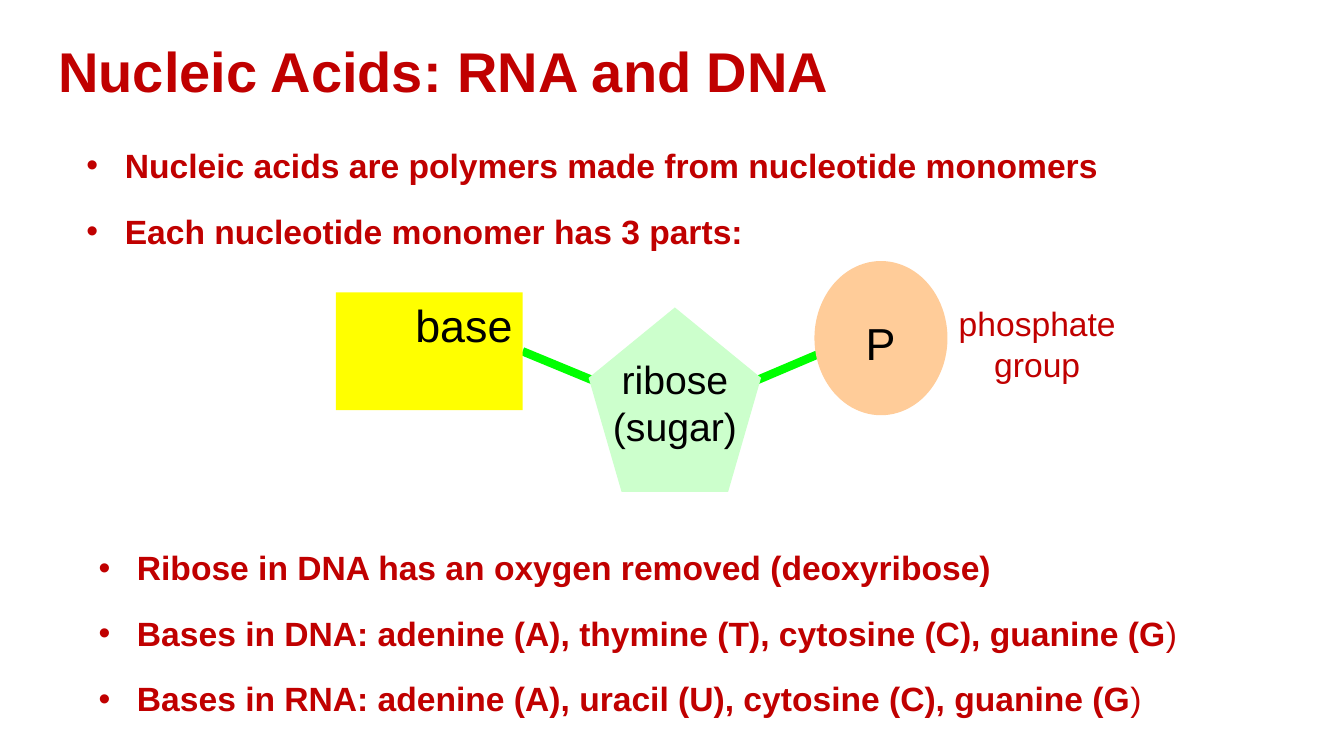
from lxml import etree
from pptx import Presentation
from pptx import util as u
from pptx.dml.color import RGBColor
from pptx.enum import shapes, text
from pptx.oxml import ns

RED = RGBColor(0xC0, 0x00, 0x00)
BLACK = RGBColor(0x00, 0x00, 0x00)
YELLOW = RGBColor(0xFF, 0xFF, 0x00)
MINT = RGBColor(0xCC, 0xFF, 0xCC)
PEACH = RGBColor(0xFF, 0xCC, 0x99)
GREEN = RGBColor(0x00, 0xFF, 0x00)

RIGHT, CENTER, LEFT = text.PP_ALIGN.RIGHT, text.PP_ALIGN.CENTER, text.PP_ALIGN.LEFT


class Slide:
    """Places elements by percent of the slide's width and height."""
    font = "Arial"
    body_size = 24

    def __init__(self, deck):
        self.width, self.height = deck.slide_width, deck.slide_height
        self.page = deck.slides.add_slide(deck.slide_layouts[6])

    def place(self, *shares):
        sides = (self.width, self.height) * 2
        return [round(side * share / 100) for side, share in zip(sides, shares)]

    def style(self, span, size, color, bold=False):
        span.font.name = self.font
        span.font.size = u.Pt(size)
        span.font.color.rgb = color
        span.font.bold = bold

    def fill_text(self, box, words, size, color, align=LEFT, bold=False):
        frame = box.text_frame
        frame.word_wrap = True
        frame.vertical_anchor = text.MSO_ANCHOR.TOP
        frame.text = words
        for para in frame.paragraphs:
            para.alignment = align
            for span in para.runs:
                self.style(span, size, color, bold)

    def label(self, area, words, size, color, align=CENTER, bold=False):
        box = self.page.shapes.add_textbox(*self.place(*area))
        self.fill_text(box, words, size, color, align, bold)

    def bullets(self, area, lines, indent):
        """Each line is its bold part and, where needed, a plain ending."""
        box = self.page.shapes.add_textbox(*self.place(*area))
        frame = box.text_frame
        frame.word_wrap = True
        for number, (strong, plain) in enumerate(lines):
            para = frame.add_paragraph() if number else frame.paragraphs[0]
            props = para._p.get_or_add_pPr()
            props.set("marL", str(u.Inches(indent)))
            props.set("indent", str(u.Inches(-0.38)))
            tint = etree.SubElement(props, ns.qn("a:buClr"))
            etree.SubElement(tint, ns.qn("a:srgbClr"), val=str(RED))
            etree.SubElement(props, ns.qn("a:buFont"), typeface=self.font)
            etree.SubElement(props, ns.qn("a:buChar"), char="•")
            if number:
                para.space_before = u.Pt(18)
            for words, bold in ((strong, True), (plain, False)):
                if words:
                    span = para.add_run()
                    span.text = words
                    self.style(span, self.body_size, RED, bold)

    def shape(self, kind, area, fill):
        figure = self.page.shapes.add_shape(kind, *self.place(*area))
        figure.shadow.inherit = False
        figure.fill.solid()
        figure.fill.fore_color.rgb = fill
        figure.line.fill.background()
        return figure

    def bond(self, start, end):
        link = self.page.shapes.add_connector(
            shapes.MSO_CONNECTOR.STRAIGHT, *self.place(*start, *end))
        link.line.color.rgb = GREEN
        link.line.width = u.Pt(6)
        etree.SubElement(link._element.spPr, ns.qn("a:effectLst"))
        return link


def main():
    deck = Presentation()
    deck.slide_width, deck.slide_height = u.Inches(13.33), u.Inches(7.5)
    slide = Slide(deck)

    # Title and opening points
    slide.label((3.6, 4.13, 66.9, 10.27), "Nucleic Acids: RNA and DNA", 40, RED, LEFT, True)
    slide.bullets((5.7, 18.53, 90.53, 15.47), [
        ("Nucleic acids are polymers made from nucleotide monomers", ""),
        ("Each nucleotide monomer has 3 parts:", ""),
    ], 0.38)

    # Nucleotide: bonds lie behind the three parts
    slide.bond((55.65, 50.8), (63.6, 44.8))
    base_bond = slide.bond((38.85, 46.8), (44.78, 50.8))
    slide.shape(shapes.MSO_SHAPE.REGULAR_PENTAGON, (43.8, 40.67, 12.83, 24.4), MINT)
    base = slide.shape(shapes.MSO_SHAPE.RECTANGLE, (25, 38.67, 13.88, 15.6), YELLOW)
    slide.fill_text(base, "base", 32, BLACK, RIGHT)
    base_bond.begin_connect(base, 3)
    slide.shape(shapes.MSO_SHAPE.OVAL, (60.6, 34.53, 9.9, 20.4), PEACH)

    # Names of the parts
    slide.label((62.55, 41.07, 5.93, 15.6), "P", 32, BLACK)
    slide.label((44.78, 46.4, 10.88, 13.87), "ribose\n(sugar)", 28, BLACK)
    slide.label((70.5, 39.47, 13.35, 12.13), "phosphate\vgroup", 24, RED)

    # Closing points
    slide.bullets((5.7, 71.73, 89.03, 24.27), [
        ("Ribose in DNA has an oxygen removed (deoxyribose)", ""),
        ("Bases in DNA: adenine (A), thymine (T), cytosine (C), guanine (G", ")"),
        ("Bases in RNA: adenine (A), uracil (U), cytosine (C), guanine (G", ")"),
    ], 0.5)

    deck.save("out.pptx")


if __name__ == "__main__":
    main()
